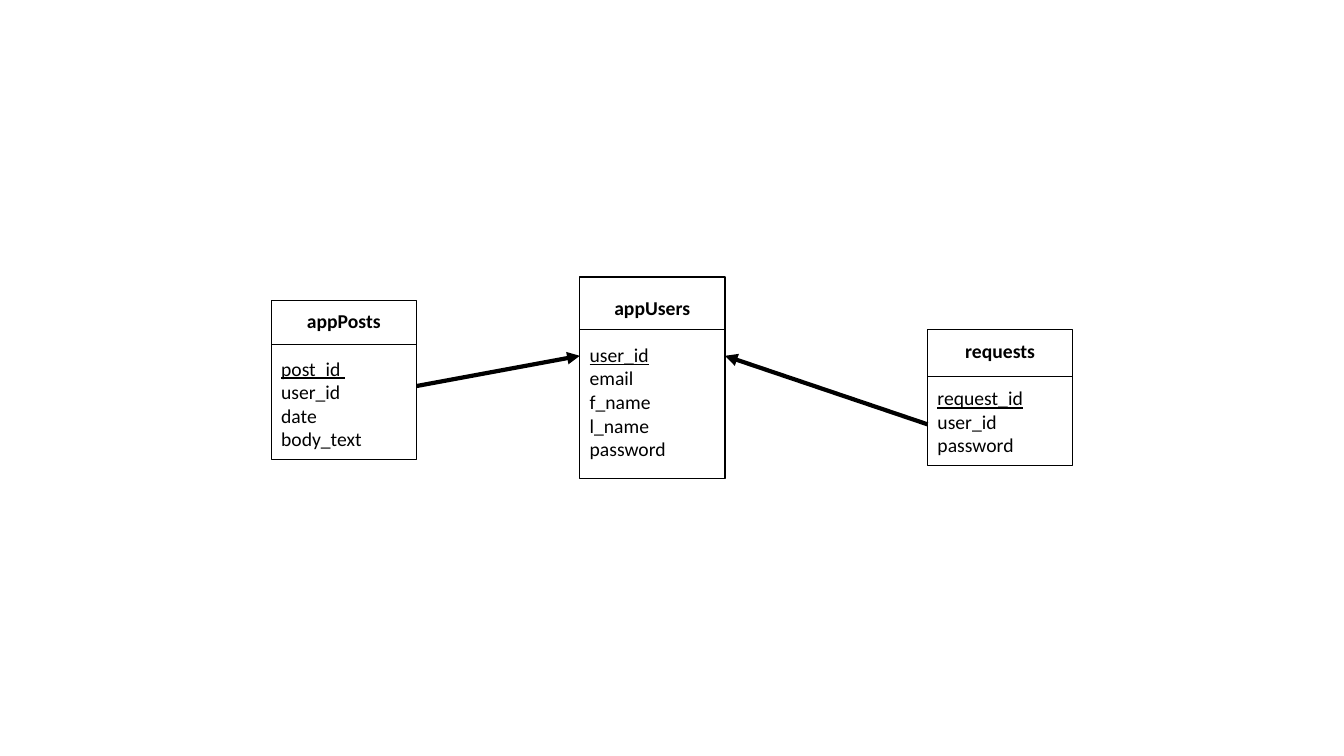
from typing import NamedTuple

from lxml import etree
from pptx import Presentation
from pptx import util as u
from pptx.dml.color import RGBColor
from pptx.enum import shapes, text
from pptx.oxml.ns import qn

BLACK = RGBColor(0, 0, 0)
FONT = "Calibri"
WIDTH = 1.44  # shared by all entity boxes


class Entity(NamedTuple):
    name: str
    left: float
    top: float
    height: float
    rule: float  # height of the line under the name
    key: str
    fields: list[str]

    @property
    def right(self) -> float:
        return self.left + WIDTH


class Point(NamedTuple):
    x: float
    y: float


def add_run(para, words: str, bold: bool = False, under: bool = False) -> None:
    run = para.add_run()
    run.text = words
    font = run.font
    font.name, font.size = FONT, u.Pt(14)
    font.bold, font.underline = bold, under
    font.color.rgb = BLACK


def add_line(slide, start: Point, end: Point, width: float, arrow: bool = False) -> None:
    ends = [u.Inches(n) for n in (*start, *end)]
    line = slide.shapes.add_connector(shapes.MSO_CONNECTOR.STRAIGHT, *ends)
    line.line.color.rgb = BLACK
    line.line.width = u.Pt(width)
    props = line._element.spPr
    if arrow:
        etree.SubElement(props.find(qn("a:ln")), qn("a:tailEnd"), type="triangle")
    etree.SubElement(props, qn("a:effectLst"))


def add_entity(slide, item: Entity) -> None:
    area = [u.Inches(n) for n in (item.left, item.top, WIDTH, item.height)]
    box = slide.shapes.add_shape(shapes.MSO_SHAPE.RECTANGLE, *area)
    box.shadow.inherit = False
    box.fill.background()
    box.line.color.rgb = BLACK
    box.line.width = u.Pt(1)

    # Name, then the underlined key and the other fields
    frame = box.text_frame
    frame.word_wrap = True
    frame.vertical_anchor = text.MSO_ANCHOR.MIDDLE
    title = frame.paragraphs[0]
    title.alignment = text.PP_ALIGN.CENTER
    title.space_after = u.Pt(17)
    add_run(title, item.name, bold=True)
    for field in [item.key, *item.fields]:
        para = frame.add_paragraph()
        para.alignment = text.PP_ALIGN.LEFT
        add_run(para, field, under=field == item.key)

    add_line(slide, Point(item.left, item.rule), Point(item.right, item.rule), 0.5)


deck = Presentation()
deck.slide_width, deck.slide_height = u.Inches(13.33), u.Inches(7.5)
slide = deck.slides.add_slide(deck.slide_layouts[6])

# Entities
posts = Entity("appPosts", 2.69, 2.98, 1.58, 3.42,
               "post_id ", ["user_id", "date", "body_text"])
users = Entity("appUsers", 5.75, 2.75, 2, 3.27,
               "user_id", ["email", "f_name", "l_name", "password"])
requests = Entity("requests", 9.2, 3.27, 1.35, 3.73,
                  "request_id", ["user_id", "password"])
for item in (posts, users, requests):
    add_entity(slide, item)

# References to the user key
KEY_Y = 3.53
add_line(slide, Point(posts.right, 3.83), Point(users.left, KEY_Y), 3, arrow=True)
add_line(slide, Point(requests.left, 4.21), Point(users.right, KEY_Y), 3, arrow=True)

deck.save("out.pptx")
